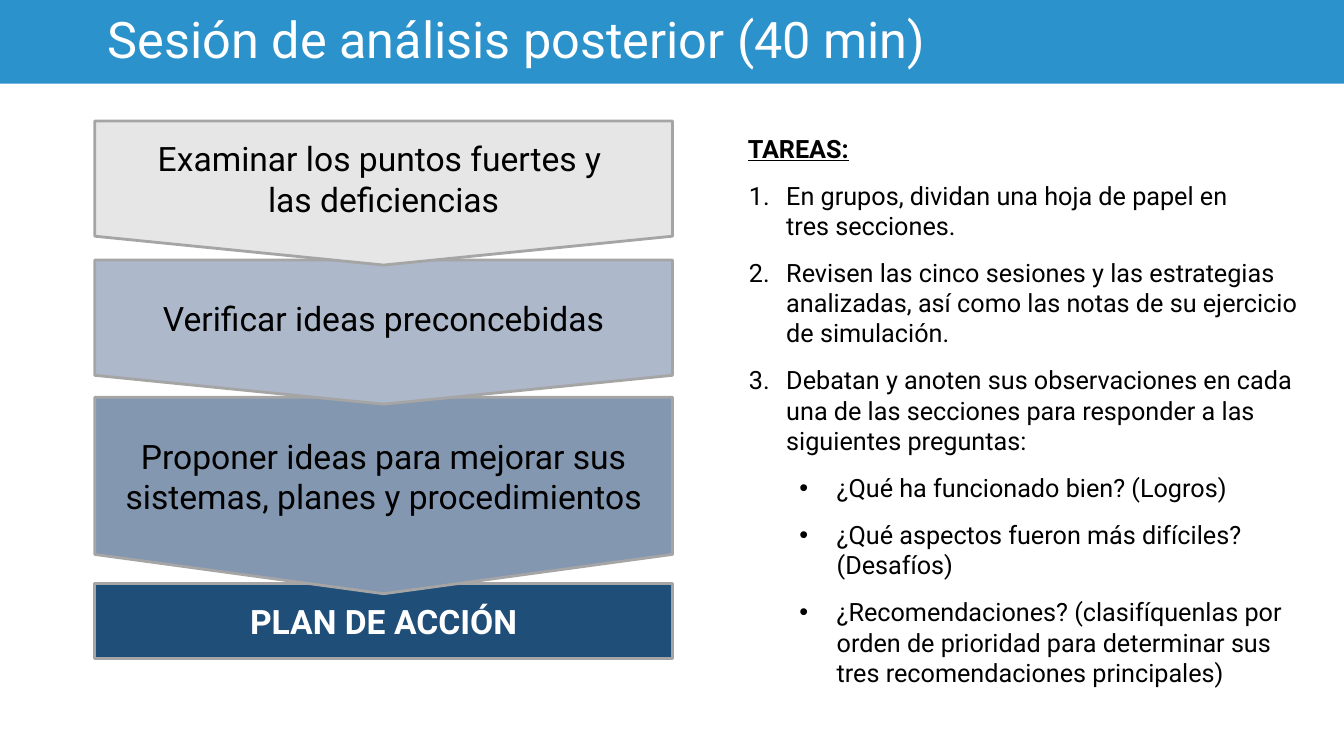
from dataclasses import dataclass

from lxml.etree import SubElement
from pptx import Presentation
from pptx.dml.color import RGBColor
from pptx.enum.shapes import MSO_SHAPE
from pptx.enum.text import MSO_ANCHOR, MSO_AUTO_SIZE, PP_ALIGN
from pptx.oxml.ns import qn
from pptx.util import Inches, Pt

FONT = "Roboto"
COLUMN_WIDTH = 5.73
FLOW_LEFT = 0.94
CONNECTOR = MSO_SHAPE.FLOWCHART_OFFPAGE_CONNECTOR


@dataclass
class Step:
    text: str
    top: float
    height: float
    fill: str
    color: str = "000000"
    bold: bool = False
    outline: MSO_SHAPE = CONNECTOR


@dataclass
class Task:
    text: str
    marker: str = ""
    level: int = 0


STEPS = [
    Step("PLAN DE ACCIÓN", 5.79, 0.74, "1F4E79", "FFFFFF", True, MSO_SHAPE.RECTANGLE),
    Step("Proponer ideas para mejorar sus sistemas, planes y procedimientos", 3.94, 1.95, "8497B0"),
    Step("Verificar ideas preconcebidas", 2.58, 1.43, "ADB9CA"),
    Step("Examinar los puntos fuertes y \nlas deficiencias", 1.2, 1.43, "E7E6E6"),
]

TASKS = [
    Task("TAREAS:"),
    Task("En grupos, dividan una hoja de papel en \ntres secciones.", "number"),
    Task("Revisen las cinco sesiones y las estrategias analizadas, "
         "así como las notas de su ejercicio de simulación.", "number"),
    Task("Debatan y anoten sus observaciones en cada una de las secciones "
         "para responder a las siguientes preguntas:", "number"),
    Task("¿Qué ha funcionado bien? (Logros)", "bullet", 1),
    Task("¿Qué aspectos fueron más difíciles? (Desafíos)", "bullet", 1),
    Task("¿Recomendaciones? (clasifíquenlas por orden de prioridad "
         "para determinar sus tres recomendaciones principales)", "bullet", 1),
]


def paint(target, color: str) -> None:
    """Give a fill a solid colour."""
    target.solid()
    target.fore_color.rgb = RGBColor.from_string(color)


def place(shape, left: float, top: float, width: float, height: float) -> None:
    """Set the position and size of a shape in inches."""
    shape.left, shape.top = Inches(left), Inches(top)
    shape.width, shape.height = Inches(width), Inches(height)


def write(para, text: str, size: int, color: str = "000000",
          bold: bool = False, underline: bool = False) -> None:
    """Add one formatted run for each line of the text."""
    for index, line in enumerate(text.split("\n")):
        if index:
            para.add_line_break()
        span = para.add_run()
        span.text = line
        span.font.name = FONT
        span.font.size = Pt(size)
        span.font.bold = bold
        span.font.underline = underline
        paint(span.font.fill, color)


def mark(para, task: Task) -> None:
    """Indent a task and give it a number or a bullet."""
    props = para._p.get_or_add_pPr()
    props.set("marL", str(Inches(0.38 + 0.5 * task.level)))
    props.set("indent", str(Inches(-0.37)))
    color = SubElement(props, qn("a:buClr"))
    SubElement(color, qn("a:srgbClr"), val="000000")
    if task.marker == "number":
        SubElement(props, qn("a:buAutoNum"), type="arabicPeriod")
    else:
        SubElement(props, qn("a:buFont"), typeface="Arial")
        SubElement(props, qn("a:buChar"), char="•")


def draw_title(page, text: str) -> None:
    """Turn the title placeholder into the blue header band."""
    title = page.shapes.title
    place(title, 0, 0, 13.33, 0.83)
    paint(title.fill, "2B92CB")
    frame = title.text_frame
    frame.auto_size = MSO_AUTO_SIZE.NONE
    frame.vertical_anchor = MSO_ANCHOR.MIDDLE
    frame.margin_left = Inches(1.07)
    frame.margin_top = frame.margin_bottom = Inches(0.1)
    para = frame.paragraphs[0]
    para.alignment = PP_ALIGN.LEFT
    para.line_spacing = 0.9
    write(para, text, 36, "FFFFFF")


def draw_step(page, step: Step) -> None:
    """Draw one block of the flow."""
    box = page.shapes.add_shape(step.outline, Inches(FLOW_LEFT), Inches(step.top),
                                Inches(COLUMN_WIDTH), Inches(step.height))
    box.shadow.inherit = False
    paint(box.fill, step.fill)
    paint(box.line.fill, "A5A5A5")
    box.line.width = Pt(2)
    box.text_frame.word_wrap = True
    box.text_frame.vertical_anchor = MSO_ANCHOR.MIDDLE
    para = box.text_frame.paragraphs[0]
    para.alignment = PP_ALIGN.CENTER
    write(para, step.text, 24, step.color, step.bold)


def draw_tasks(page, tasks: list[Task]) -> None:
    """Write the heading and the list of tasks."""
    box = page.shapes.add_textbox(Inches(7.32), Inches(1.27), Inches(COLUMN_WIDTH), Inches(5.78))
    frame = box.text_frame
    frame.word_wrap = True
    for index, task in enumerate(tasks):
        para = frame.add_paragraph() if index else frame.paragraphs[0]
        para.level = task.level
        para.space_after = Pt(12)
        heading = not task.marker
        if not heading:
            mark(para, task)
        write(para, task.text, 18, bold=heading, underline=heading)


def main() -> None:
    """Build the slide and save the deck."""
    deck = Presentation()
    deck.slide_width, deck.slide_height = Inches(13.33), Inches(7.5)
    page = deck.slides.add_slide(deck.slide_layouts[5])
    draw_title(page, "Sesión de análisis posterior (40 min)")
    for step in STEPS:
        draw_step(page, step)
    draw_tasks(page, TASKS)
    deck.save("out.pptx")


if __name__ == "__main__":
    main()
